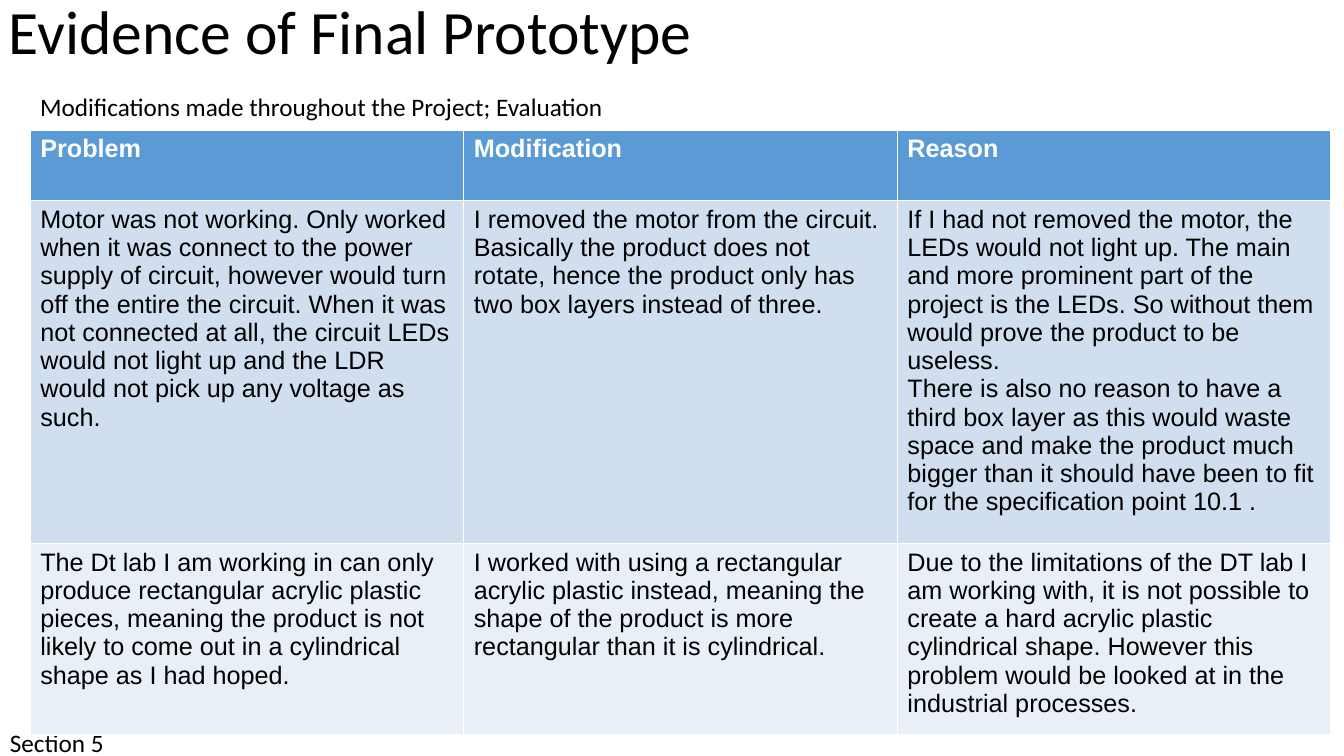
from pptx import Presentation
from pptx import util as u
from pptx.dml.color import RGBColor
from pptx.enum import text

hues = {"ink": "000000", "white": "FFFFFF", "head": "5B9BD5",
        "band": "D0DEEF", "pale": "E9EFF7"}

deck = Presentation()
deck.slide_width = u.Inches(13.33)
deck.slide_height = u.Inches(7.5)
slide = deck.slides.add_slide(deck.slide_layouts[6])


def write(para, words, size, face, hue, bold=False):
    run = para.add_run()
    run.text = words
    run.font.size = u.Pt(size)
    run.font.name = face
    run.font.bold = bold
    run.font.color.rgb = RGBColor.from_string(hues[hue])


labels = [
    ("Section 5", 18, (0, 7.17, 1.15, 0.4), text.MSO_ANCHOR.TOP, 1),
    ("Evidence of Final Prototype", 44, (-0.01, -0.38, 11.5, 1.45),
     text.MSO_ANCHOR.MIDDLE, 0.9),
    ("Modifications made throughout the Project; Evaluation", 18,
     (0.3, 0.86, 5.85, 0.4), text.MSO_ANCHOR.TOP, 1),
]
for words, size, place, anchor, space in labels:
    frame = slide.shapes.add_textbox(*map(u.Inches, place)).text_frame
    frame.word_wrap = True
    frame.vertical_anchor = anchor
    para = frame.paragraphs[0]
    para.line_spacing = space
    write(para, words, size, "Calibri", "ink")

rows = [
    (0.7, "head", "white", [["Problem"], ["Modification"], ["Reason"]]),
    (3.4, "band", "ink", [
        ["Motor was not working. Only worked when it was connect to the power "
         "supply of circuit, however would turn off the entire the circuit. "
         "When it was not connected at all, the circuit LEDs would not light "
         "up and the LDR would not pick up any voltage as such."],
        ["I removed the motor from the circuit.",
         "Basically the product does not rotate, hence the product only has "
         "two box layers instead of three."],
        ["If I had not removed the motor, the LEDs would not light up. The "
         "main and more prominent part of the project is the LEDs. So without "
         "them would prove the product to be useless.",
         "There is also no reason to have a third box layer as this would "
         "waste space and make the product much bigger than it should have "
         "been to fit for the specification point 10.1 ."]]),
    (1.9, "pale", "ink", [
        ["The Dt lab I am working in can only produce rectangular acrylic "
         "plastic pieces, meaning the product is not likely to come out in a "
         "cylindrical shape as I had hoped."],
        ["I worked with using a rectangular acrylic plastic instead, meaning "
         "the shape of the product is more rectangular than it is "
         "cylindrical."],
        ["Due to the limitations of the DT lab I am working with, it is not "
         "possible to create a hard acrylic plastic cylindrical shape. "
         "However this problem would be looked at in the industrial "
         "processes."]]),
]
wide = 4.3
tall = sum(row[0] for row in rows)
grid = slide.shapes.add_table(
    3, 3, u.Inches(0.3), u.Inches(1.29), u.Inches(3 * wide), u.Inches(tall)).table
for col in grid.columns:
    col.width = u.Inches(wide)
for r, (high, fill, hue, cells) in enumerate(rows):
    grid.rows[r].height = u.Inches(high)
    for c, paras in enumerate(cells):
        cell = grid.cell(r, c)
        cell.fill.solid()
        cell.fill.fore_color.rgb = RGBColor.from_string(hues[fill])
        frame = cell.text_frame
        for n, words in enumerate(paras):
            para = frame.add_paragraph() if n else frame.paragraphs[0]
            write(para, words, 18, "Arial", hue, r == 0)

deck.save("out.pptx")
